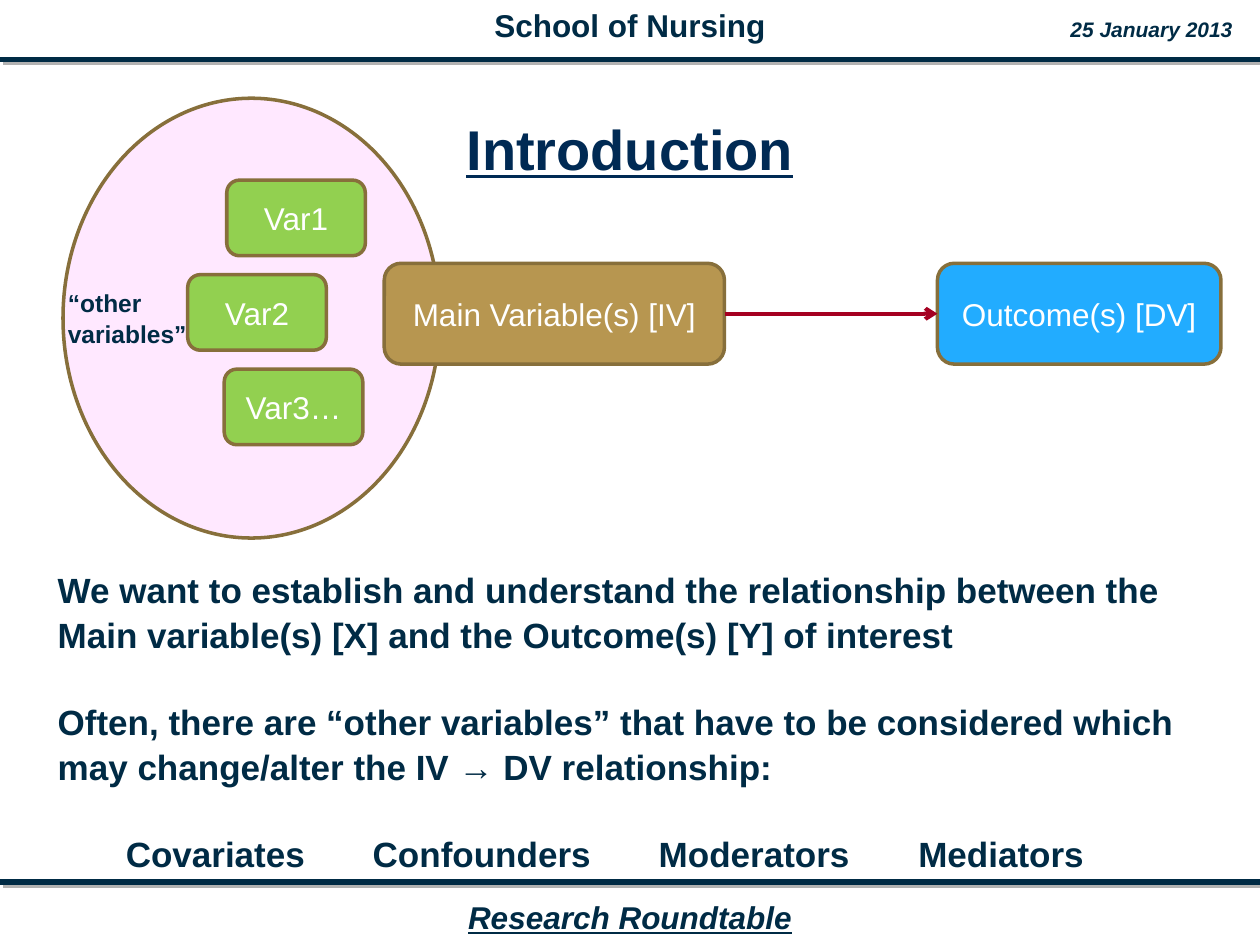
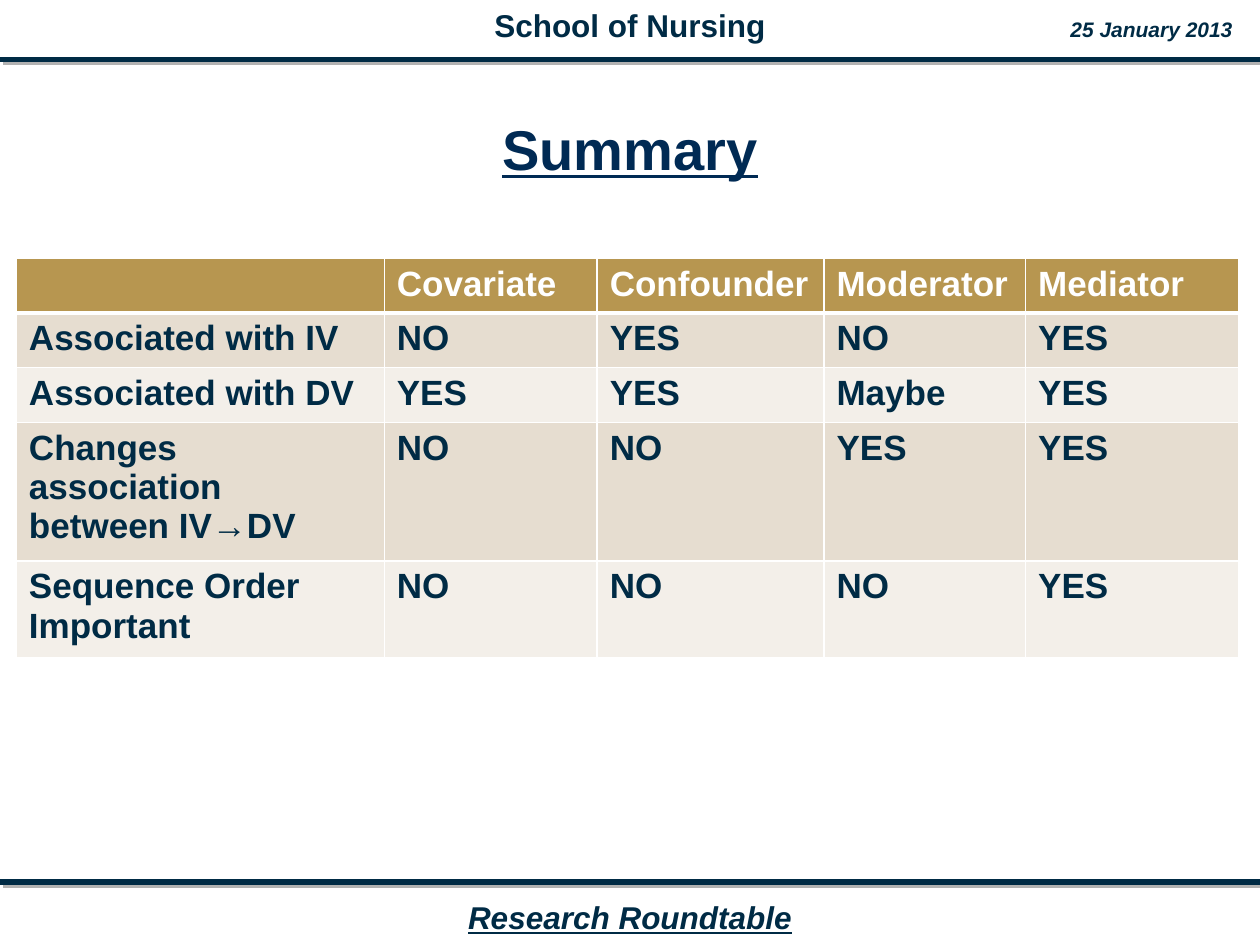
from lxml import etree
from pptx import Presentation, util as u
from pptx.dml.color import RGBColor
from pptx.enum import shapes, text
from pptx.oxml import ns

NAVY = RGBColor(0x00, 0x2B, 0x45)
TITLE_NAVY = RGBColor(0x00, 0x2A, 0x54)
WHITE = RGBColor(0xFF, 0xFF, 0xFF)
SHADOW_GREY = RGBColor(0xB2, 0xB2, 0xB2)
GOLD = RGBColor(0xB7, 0x96, 0x50)
DARK_GOLD = RGBColor(0x87, 0x6F, 0x3B)
BLUE = RGBColor(0x22, 0xAC, 0xFF)
GREEN = RGBColor(0x92, 0xD0, 0x50)
PINK = RGBColor(0xFF, 0x99, 0xFF)
RED = RGBColor(0xA5, 0x00, 0x21)
BANDS = (RGBColor(0xE6, 0xDD, 0xD0), RGBColor(0xF3, 0xEF, 0xE9))

FONT = "Arial"
COLUMNS, ROWS = 100, 75


def add_xml(parent, tag, **attributes):
    child = etree.SubElement(parent, ns.qn(tag))
    for name, value in attributes.items():
        child.set(name, str(value))
    return child


class Deck:
    """Holds the style and the current slide; lengths are grid columns and rows."""

    def __init__(self):
        self.prs = Presentation()
        self.prs.slide_width, self.prs.slide_height = u.Inches(10), u.Inches(7.5)
        self.slide = None

    def x(self, columns):
        return round(self.prs.slide_width * columns / COLUMNS)

    def y(self, rows):
        return round(self.prs.slide_height * rows / ROWS)

    def area(self, left, top, width, height):
        return self.x(left), self.y(top), self.x(width), self.y(height)

    def new_slide(self, title):
        self.slide = self.prs.slides.add_slide(self.prs.slide_layouts[5])
        self.title(title)
        for row in (4.7, 70):
            rule = self.line((0, row), (COLUMNS, row), NAVY, 3)
            self.drop_shadow(rule)
        self.label("School of Nursing", (37.8, 0, 24.4, 4), 18)
        self.label("25 January 2013", (83.9, 0.8, 15, 3), 12, italic=True)
        self.label("Research Roundtable", (36, 70.8, 28, 4), 18,
                   italic=True, underline=True)

    def style(self, paragraph, size, color=NAVY, bold=True, italic=False,
              underline=False, align=text.PP_ALIGN.LEFT):
        paragraph.alignment = align
        for run in paragraph.runs:
            font = run.font
            font.name, font.size, font.color.rgb = FONT, u.Pt(size), color
            font.bold, font.italic, font.underline = bold, italic, underline

    def title(self, wording):
        title = self.slide.shapes.title
        title.left, title.top, title.width, title.height = self.area(2.5, 6.5, 95, 11.3)
        frame = title.text_frame
        frame.text = wording
        frame.auto_size = text.MSO_AUTO_SIZE.NONE
        frame.vertical_anchor = text.MSO_ANCHOR.MIDDLE
        frame.margin_left = frame.margin_right = u.Inches(0.05)
        frame.paragraphs[0].line_spacing = 0.85
        self.style(frame.paragraphs[0], 32, TITLE_NAVY, underline=True,
                   align=text.PP_ALIGN.CENTER)

    def label(self, wording, area, size, **look):
        """One centred line that does not wrap."""
        frame = self.slide.shapes.add_textbox(*self.area(*area)).text_frame
        frame.word_wrap = False
        frame.text = wording
        self.style(frame.paragraphs[0], size, align=text.PP_ALIGN.CENTER, **look)

    def passage(self, wordings, area, size, gap=0):
        frame = self.slide.shapes.add_textbox(*self.area(*area)).text_frame
        frame.word_wrap = True
        frame.text = "\n".join(wordings)
        for paragraph in frame.paragraphs:
            paragraph.line_spacing = 1.07
            paragraph.space_after = u.Pt(gap)
            self.style(paragraph, size)
        return frame

    def tab_stops(self, paragraph, columns):
        stops = add_xml(paragraph._p.get_or_add_pPr(), "a:tabLst")
        for column in columns:
            add_xml(stops, "a:tab", pos=self.x(column), algn="l")

    def shape(self, kind, area, fill):
        shape = self.slide.shapes.add_shape(kind, *self.area(*area))
        shape.shadow.inherit = False
        shape.fill.solid()
        shape.fill.fore_color.rgb = fill
        shape.line.color.rgb = DARK_GOLD
        shape.line.width = u.Pt(2)
        return shape

    def ellipse(self, area, fill, opacity):
        ellipse = self.shape(shapes.MSO_SHAPE.OVAL, area, fill)
        color = ellipse._element.spPr.find(ns.qn("a:solidFill"))[0]
        add_xml(color, "a:alpha", val=opacity * 1000)

    def variable(self, wording, area, fill):
        box = self.shape(shapes.MSO_SHAPE.ROUNDED_RECTANGLE, area, fill)
        box.text_frame.text = wording
        box.text_frame.vertical_anchor = text.MSO_ANCHOR.MIDDLE
        self.style(box.text_frame.paragraphs[0], 18, WHITE, bold=False,
                   align=text.PP_ALIGN.CENTER)
        return box

    def line(self, start, end, color, width):
        line = self.slide.shapes.add_connector(
            shapes.MSO_CONNECTOR.STRAIGHT, self.x(start[0]), self.y(start[1]),
            self.x(end[0]), self.y(end[1]))
        line.line.color.rgb = color
        line.line.width = u.Pt(width)
        add_xml(line._element.spPr, "a:effectLst")
        return line

    def drop_shadow(self, line):
        effects = line._element.spPr.find(ns.qn("a:effectLst"))
        shadow = add_xml(effects, "a:outerShdw", blurRad=0, dist=u.Pt(2.8),
                         dir=45 * 60000, algn="ctr", rotWithShape=0)
        add_xml(shadow, "a:srgbClr", val=SHADOW_GREY)

    def arrow(self, source, target):
        arrow = self.line((0, 0), (0, 0), RED, 2.25)
        arrow.begin_connect(source, 3)
        arrow.end_connect(target, 1)
        add_xml(arrow.line._get_or_add_ln(), "a:tailEnd", type="arrow")

    def table(self, records, corner, widths, row_height):
        area = self.area(*corner, sum(widths), row_height * len(records))
        table = self.slide.shapes.add_table(len(records), len(widths), *area).table
        for column, width in zip(table.columns, widths):
            column.width = self.x(width)
        for r, record in enumerate(records):
            for c, wording in enumerate(record):
                cell = table.cell(r, c)
                cell.text = wording
                cell.fill.solid()
                cell.fill.fore_color.rgb = BANDS[(r - 1) % 2] if r else GOLD
                self.style(cell.text_frame.paragraphs[0], 20, NAVY if r else WHITE)
                self.borders(cell, top=3 if r == 1 else 1, bottom=1 if r else 3)

    def borders(self, cell, top, bottom):
        properties = cell._tc.get_or_add_tcPr()
        widths = {"a:lnL": 1, "a:lnR": 1, "a:lnT": top, "a:lnB": bottom}
        for position, (tag, width) in enumerate(widths.items()):
            border = add_xml(properties, tag, w=u.Pt(width))
            add_xml(add_xml(border, "a:solidFill"), "a:srgbClr", val=WHITE)
            properties.insert(position, border)


def introduction(deck):
    deck.new_slide("Introduction")
    deck.ellipse((5, 7.8, 29.9, 34.9), PINK, 22)
    main = deck.variable("Main Variable(s) [IV]", (30.5, 20.9, 27, 8), GOLD)
    outcome = deck.variable("Outcome(s) [DV]", (74.4, 20.9, 22.5, 8), BLUE)
    deck.arrow(main, outcome)
    others = (("Var1", 18), ("Var2", 14.9), ("Var3…", 17.8))
    for i, (name, left) in enumerate(others):
        deck.variable(name, (left, 14.3 + 7.5 * i, 11, 6), GREEN)

    roles = ("Covariates", "Confounders", "Moderators", "Mediators")
    explanation = deck.passage((
        "We want to establish and understand the relationship between the "
        "Main variable(s) [X] and the Outcome(s) [Y] of interest",
        "Often, there are “other variables” that have to be considered which "
        "may change/alter the IV → DV relationship:",
        "\t" + "\t".join(roles),
    ), (3.6, 44.4, 92.6, 24.6), 20, gap=24)
    deck.tab_stops(explanation.paragraphs[-1], (5.4, 25, 47.7, 68.3))
    deck.passage(("“other variables”",), (4.4, 22.2, 11.9, 5.7), 14)


def summary(deck):
    deck.new_slide("Summary")
    deck.table((
        ("", "Covariate", "Confounder", "Moderator", "Mediator"),
        ("Associated with IV", "NO", "YES", "NO", "YES"),
        ("Associated with DV", "YES", "YES", "Maybe", "YES"),
        ("Changes association between IV→DV", "NO", "NO", "YES", "YES"),
        ("Sequence Order Important", "NO", "NO", "NO", "YES"),
    ), (1.3, 20.5), (29.2, 16.9, 18, 16, 16.9), 4.1)


def main():
    deck = Deck()
    introduction(deck)
    summary(deck)
    deck.prs.save("out.pptx")


if __name__ == "__main__":
    main()
